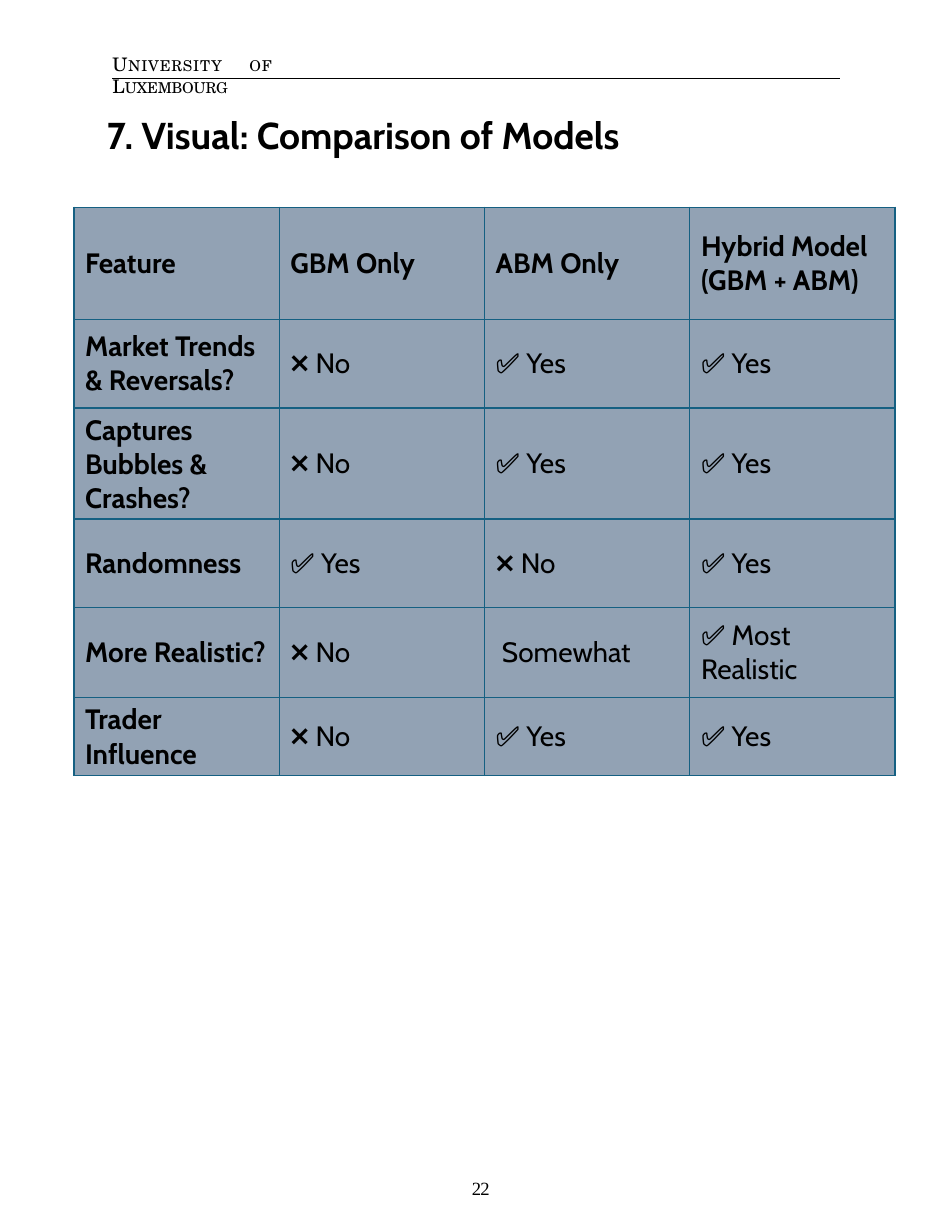
from lxml.etree import SubElement
from pptx import Presentation
from pptx.dml.color import RGBColor
from pptx.enum.shapes import MSO_CONNECTOR
from pptx.enum.text import MSO_ANCHOR
from pptx.oxml.ns import qn
from pptx.util import Pt

COLORS = {"text": "000000", "border": "156082", "cell": "92A2B4"}

TABLE_LEFT, TABLE_TOP = 47.5, 133.2
COLUMN_WIDTH = 132
YES, NO = "✅ Yes", "❌ No"

# Row height, then the cell texts
ROWS = [
    (72, ["Feature", "GBM Only", "ABM Only", "Hybrid Model (GBM + ABM)"]),
    (57, ["Market Trends & Reversals?", NO, YES, YES]),
    (71.5, ["Captures Bubbles & Crashes?", NO, YES, YES]),
    (57, ["Randomness", YES, NO, YES]),
    (57.5, ["More Realistic?", NO, " Somewhat", "✅ Most Realistic"]),
    (50, ["Trader Influence", NO, YES, YES]),
]

# Text, letter spacing in points, small capitals
HEADER_SPANS = [
    ("U", 0.5, False),
    ("niversity", 0.5, True),
    (" ", 5, True),
    ("of ", 0.5, True),
    ("L", -0.1, False),
    ("uxembourg", -0.1, True),
]


def rgb(name):
    return RGBColor.from_string(COLORS[name])


def style_font(font, name, size, bold=False):
    font.name = name
    font.size = Pt(size)
    font.bold = bold
    font.color.rgb = rgb("text")


def add_text(page, place, spans, font_name, size, bold=False, inset=0.7, before=0.9):
    box = page.shapes.add_textbox(*map(Pt, place))
    frame = box.text_frame
    frame.word_wrap = True
    frame.margin_left = Pt(1)
    frame.margin_right = frame.margin_bottom = 0
    frame.margin_top = Pt(inset)
    para = frame.paragraphs[0]
    para.space_before = Pt(before)
    style_font(para.font, font_name, size, bold)
    for text, spacing, small_caps in spans:
        span = para.add_run()
        span.text = text
        properties = span._r.get_or_add_rPr()
        properties.set("spc", str(round(spacing * 100)))
        if small_caps:
            properties.set("cap", "small")


def add_rule(page, left, right, top):
    rule = page.shapes.add_connector(
        MSO_CONNECTOR.STRAIGHT, Pt(left), Pt(top), Pt(right), Pt(top)
    )
    rule.line.color.rgb = rgb("text")
    rule.line.width = Pt(0.5)
    SubElement(rule._element.spPr, qn("a:effectLst"))


def set_borders(cell):
    properties = cell._tc.get_or_add_tcPr()
    for position, side in enumerate(("a:lnL", "a:lnR", "a:lnT", "a:lnB")):
        line = properties.makeelement(qn(side), {"w": str(Pt(1))})
        fill = SubElement(line, qn("a:solidFill"))
        SubElement(fill, qn("a:srgbClr"), val=COLORS["border"])
        properties.insert(position, line)


def add_table_row(page, top, height, texts, is_heading):
    """Add one row of the comparison as a table of its own."""
    count = len(texts)
    table = page.shapes.add_table(
        1, count, Pt(TABLE_LEFT), Pt(top), Pt(COLUMN_WIDTH * count), Pt(height)
    ).table
    table.first_row = table.horz_banding = False
    for column, text in enumerate(texts):
        cell = table.cell(0, column)
        cell.text = text
        cell.vertical_anchor = MSO_ANCHOR.MIDDLE
        cell.fill.solid()
        cell.fill.fore_color.rgb = rgb("cell")
        set_borders(cell)
        bold = is_heading or column == 0
        style_font(cell.text_frame.paragraphs[0].font, "Cabin", 18, bold)


def main():
    deck = Presentation()
    deck.slide_width, deck.slide_height = Pt(612), Pt(792)
    page = deck.slides.add_slide(deck.slide_layouts[6])

    add_text(page, (71.3, 33.1, 160, 16), HEADER_SPANS, "TeX Gyre Schola", 12)
    add_rule(page, 72, 471.6, 50.4)
    add_text(page, (302.4, 756, 14, 16), [("22", -0.5, False)], "Times New Roman", 12)
    add_rule(page, 72, 540, 50.4)
    add_text(page, (67.7, 70.6, 533.5, 30), [("7. Visual: Comparison of Models", 0, False)],
             "Cabin", 24, bold=True, inset=1.4, before=1.4)

    top = TABLE_TOP
    for index, (height, texts) in enumerate(ROWS):
        add_table_row(page, top, height, texts, is_heading=index == 0)
        top += height

    deck.save("out.pptx")


if __name__ == "__main__":
    main()
